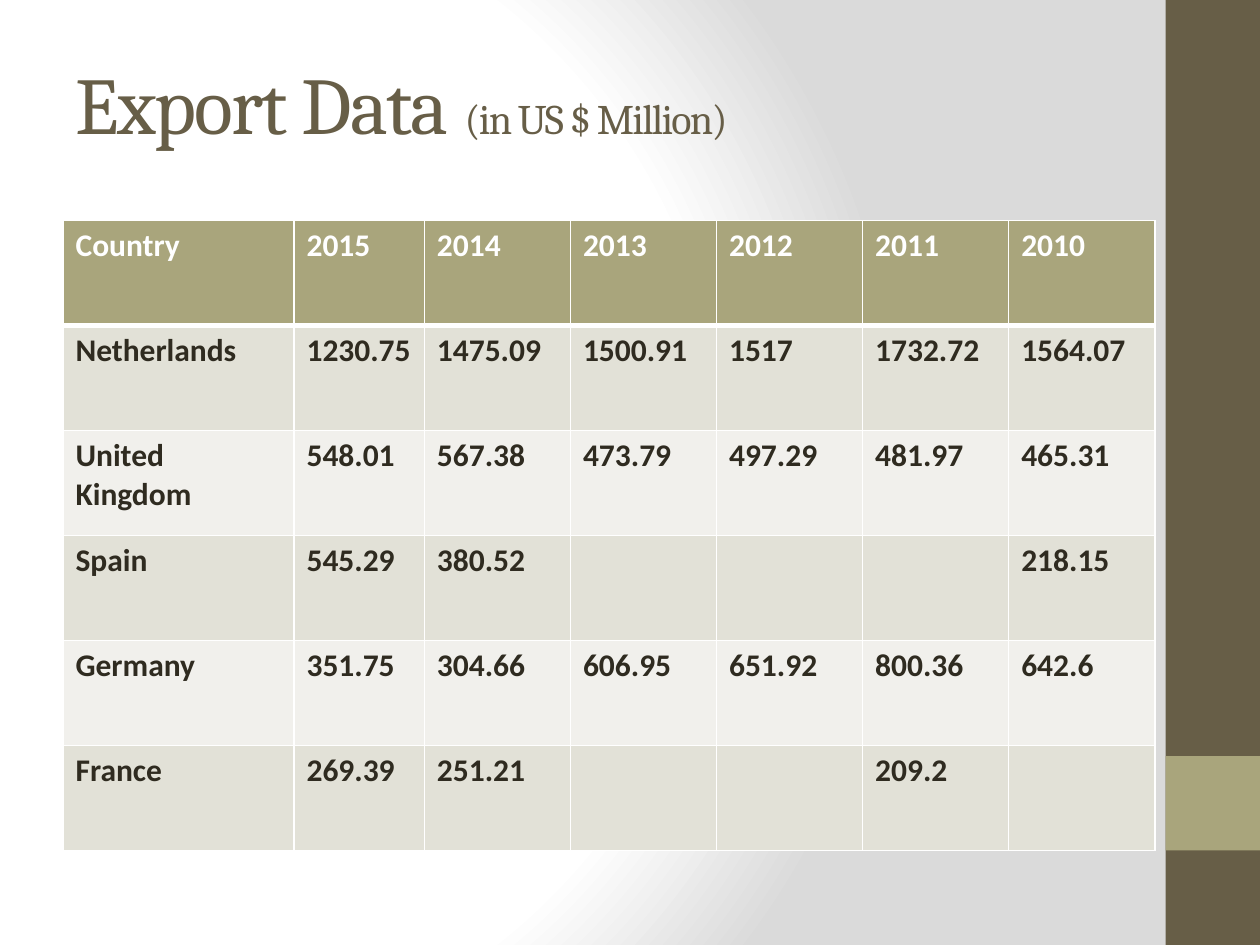
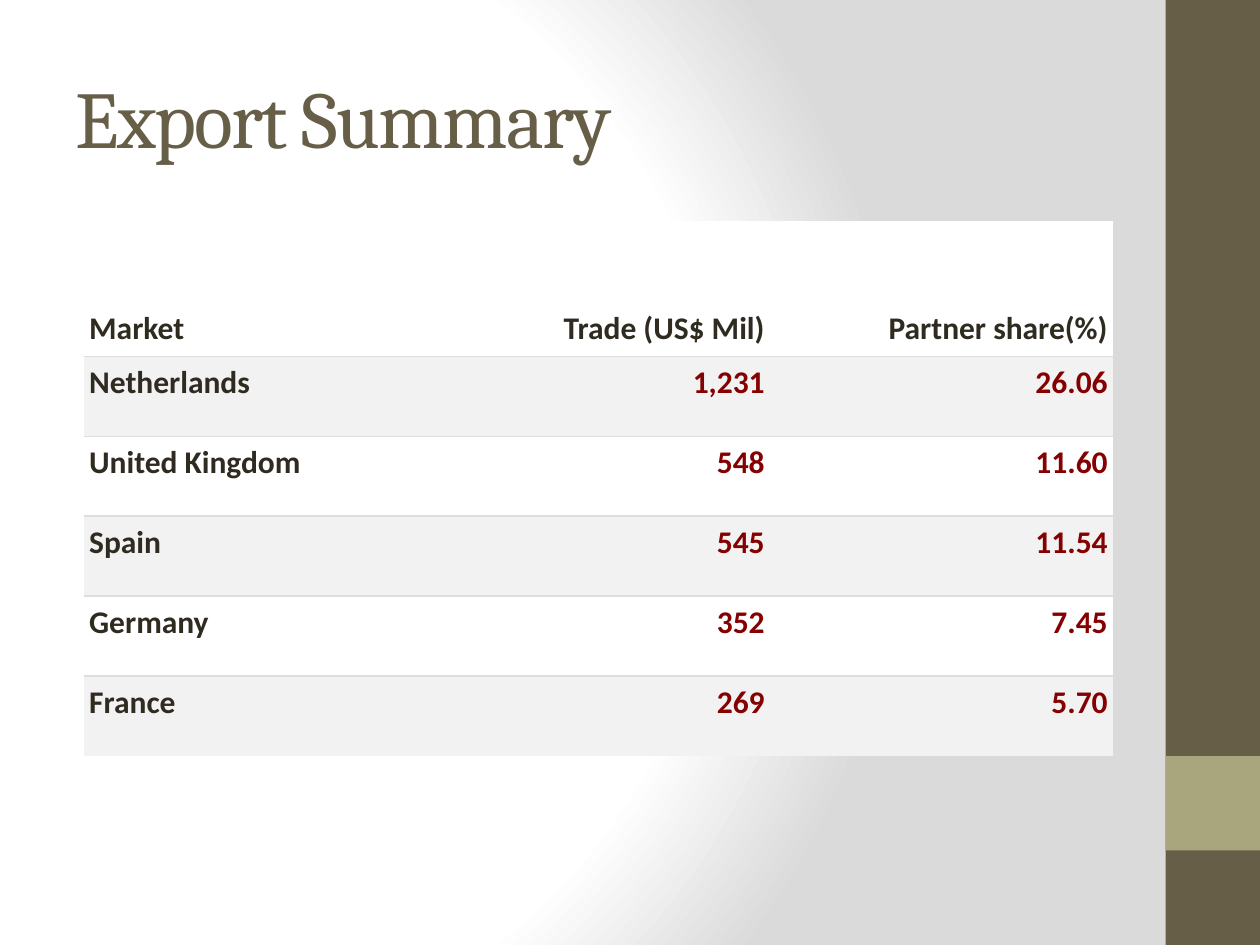
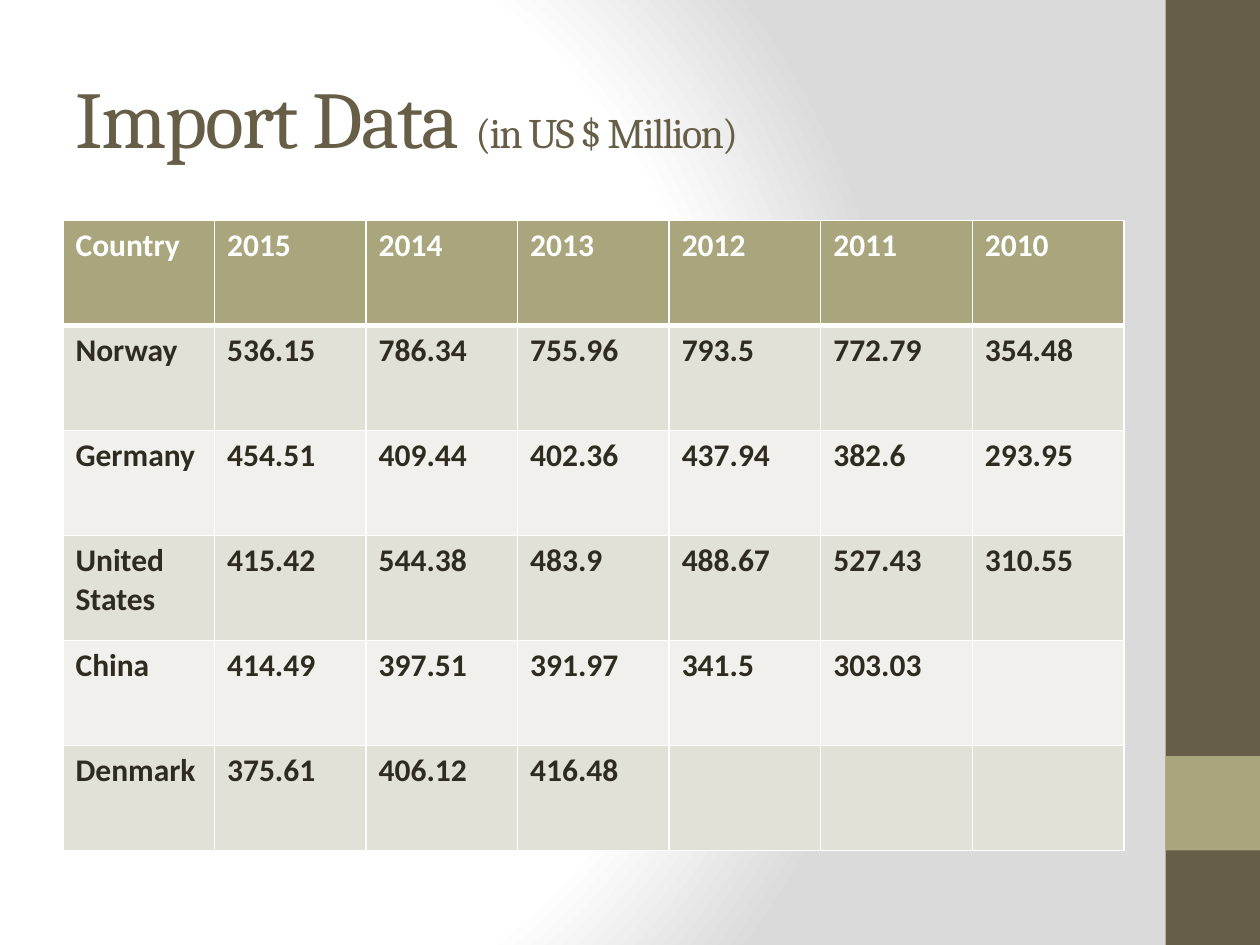
from lxml.etree import SubElement
from pptx import Presentation
from pptx.dml.color import RGBColor
from pptx.enum.shapes import MSO_SHAPE
from pptx.enum.text import MSO_ANCHOR, PP_ALIGN
from pptx.oxml import parse_xml
from pptx.oxml.ns import nsdecls, qn
from pptx.util import Pt

COLORS = {
    "white": "FFFFFF",
    "shade": "DADADA",
    "brown": "675E47",
    "olive": "A9A57C",
    "ink": "2F2B20",
    "dark band": "E2E1D7",
    "light band": "F1F0EC",
    "gray band": "F2F2F2",
    "rule": "DDDDDD",
    "red": "850000",
}
TITLE_FONT = "Cambria"
TABLE_FONT = "Calibri"
PLAIN_TABLE_STYLE = "{2D5ABB26-0587-4C30-8999-92F81FD0307C}"
UNIT = "(in US $ Million)"
YEARS = ["Country", "2015", "2014", "2013", "2012", "2011", "2010"]

EXPORTS = [
    YEARS,
    ["Netherlands", "1230.75", "1475.09", "1500.91", "1517", "1732.72", "1564.07"],
    ["United Kingdom", "548.01", "567.38", "473.79", "497.29", "481.97", "465.31"],
    ["Spain", "545.29", "380.52", "", "", "", "218.15"],
    ["Germany", "351.75", "304.66", "606.95", "651.92", "800.36", "642.6"],
    ["France", "269.39", "251.21", "", "", "209.2", ""],
]
SUMMARY = [
    ["Market", "Trade (US$ Mil)", "Partner share(%)"],
    ["Netherlands", "1,231", "26.06"],
    ["United Kingdom", "548", "11.60"],
    ["Spain", "545", "11.54"],
    ["Germany", "352", "7.45"],
    ["France", "269", "5.70"],
]
IMPORTS = [
    YEARS,
    ["Norway", "536.15", "786.34", "755.96", "793.5", "772.79", "354.48"],
    ["Germany", "454.51", "409.44", "402.36", "437.94", "382.6", "293.95"],
    ["United States", "415.42", "544.38", "483.9", "488.67", "527.43", "310.55"],
    ["China", "414.49", "397.51", "391.97", "341.5", "303.03", ""],
    ["Denmark", "375.61", "406.12", "416.48", "", "", ""],
]


def color(name):
    return RGBColor.from_string(COLORS[name])


def set_background(master):
    stops = "".join(
        f'<a:gs pos="{percent * 1000}"><a:srgbClr val="{COLORS[name]}"/></a:gs>'
        for percent, name in [(0, "white"), (75, "white"), (100, "shade")]
    )
    glow = parse_xml(
        f'<a:gradFill {nsdecls("a")} rotWithShape="1"><a:gsLst>{stops}</a:gsLst>'
        '<a:path path="circle"><a:fillToRect l="20000" t="50000" r="100000" b="50000"/>'
        "</a:path></a:gradFill>"
    )
    master.background.fill.solid()
    background = master.element.find(".//" + qn("p:bgPr"))
    background.replace(background.find(qn("a:solidFill")), glow)


def add_band(slide, top, height, fill):
    band = slide.shapes.add_shape(
        MSO_SHAPE.RECTANGLE, Pt(666), Pt(top), Pt(54), Pt(height)
    )
    band.shadow.inherit = False
    band.fill.solid()
    band.fill.fore_color.rgb = color(fill)
    band.line.fill.background()


def add_slide(deck, heading, unit="", top=21.6, height=90):
    slide = deck.slides.add_slide(deck.slide_layouts[5])
    add_band(slide, 0, 540, "brown")
    add_band(slide, 432, 54, "olive")

    title = slide.shapes.title
    title.left, title.top = Pt(36), Pt(top)
    title.width, title.height = Pt(600), Pt(height)
    title.text_frame.word_wrap = True
    title.text_frame.vertical_anchor = MSO_ANCHOR.MIDDLE
    line = title.text_frame.paragraphs[0]
    line.alignment = PP_ALIGN.LEFT
    line.font.name = TITLE_FONT
    line.font.color.rgb = color("brown")
    for words, size in [(heading, 46), (unit, 24)]:
        if words:
            run = line.add_run()
            run.text = words
            run.font.size = Pt(size)
            run._r.get_or_add_rPr().set("spc", "-100")
    return slide


def add_grid(slide, rows, left, widths, heights):
    frame = slide.shapes.add_table(
        len(rows), len(widths), Pt(left), Pt(126), Pt(sum(widths)), Pt(sum(heights))
    )
    table = frame.table
    table.horz_banding = False
    table._tbl.find(".//" + qn("a:tableStyleId")).text = PLAIN_TABLE_STYLE
    for column, width in zip(table.columns, widths):
        column.width = Pt(width)
    for row, height in zip(table.rows, heights):
        row.height = Pt(height)
    return table


def set_border(cell, side, line_color, width):
    border = SubElement(
        cell._tc.get_or_add_tcPr(), qn(f"a:ln{side}"), w=str(int(Pt(width)))
    )
    fill = SubElement(border, qn("a:solidFill"))
    SubElement(fill, qn("a:srgbClr"), val=COLORS[line_color])


def fill_cell(cell, text, fill, ink):
    cell.fill.solid()
    cell.fill.fore_color.rgb = color(fill)
    cell.text = text
    entry = cell.text_frame.paragraphs[0]
    entry.font.name = TABLE_FONT
    entry.font.size = Pt(18)
    entry.font.bold = True
    entry.font.color.rgb = color(ink)
    return entry


def add_year_table(slide, rows, widths):
    table = add_grid(slide, rows, 36, widths, [60] * len(rows))
    for r, row in enumerate(rows):
        if r == 0:
            fill, ink = "olive", "white"
        else:
            fill, ink = ("dark band" if r % 2 else "light band"), "ink"
        for c, text in enumerate(row):
            cell = table.cell(r, c)
            for side in "LRTB":
                under_header = (r, side) in [(0, "B"), (1, "T")]
                set_border(cell, side, "white", 3 if under_header else 1)
            fill_cell(cell, text, fill, ink)


def add_summary_table(slide, rows):
    heights = [77.5] + [45.7] * (len(rows) - 1)
    table = add_grid(slide, rows, 48, [196] * 3, heights)
    for r, row in enumerate(rows):
        for c, text in enumerate(row):
            cell = table.cell(r, c)
            cell.margin_left = cell.margin_right = Pt(3)
            cell.margin_top = cell.margin_bottom = Pt(4.5)
            if r > 0:
                set_border(cell, "T", "rule", 0.75)
            if r < len(rows) - 1:
                set_border(cell, "B", "rule", 0.75)
            entry = fill_cell(
                cell,
                text,
                "gray band" if r % 2 else "white",
                "red" if r and c else "ink",
            )
            if r == 0:
                cell.vertical_anchor = MSO_ANCHOR.BOTTOM
            if c > 0:
                entry.alignment = PP_ALIGN.RIGHT


def main():
    deck = Presentation()
    deck.slide_width, deck.slide_height = Pt(720), Pt(540)
    set_background(deck.slide_master)

    exports = add_slide(deck, "Export Data ", UNIT, top=30, height=56.4)
    add_year_table(exports, EXPORTS, [132, 74.5] + [83.5] * 5)

    summary = add_slide(deck, "Export Summary")
    add_summary_table(summary, SUMMARY)

    imports = add_slide(deck, "Import Data ", UNIT)
    add_year_table(imports, IMPORTS, [86.6] * 7)

    deck.save("out.pptx")


if __name__ == "__main__":
    main()
